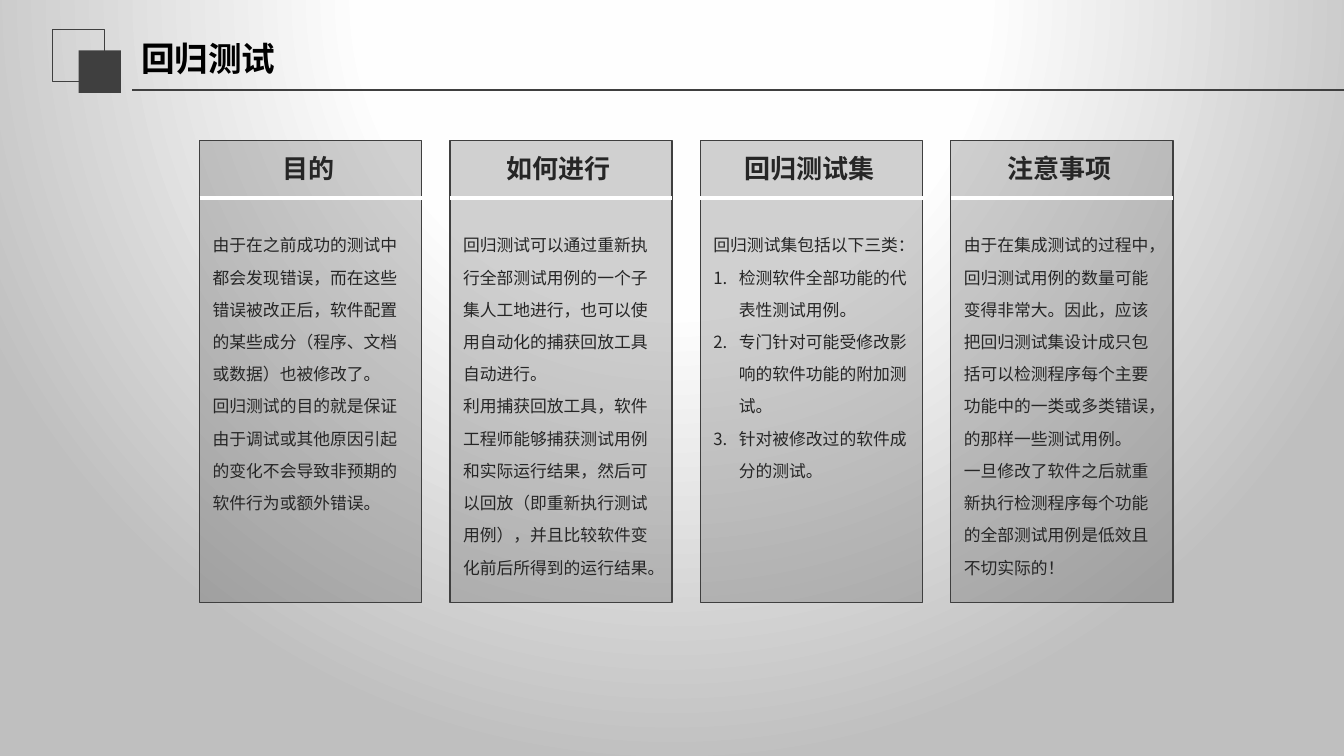
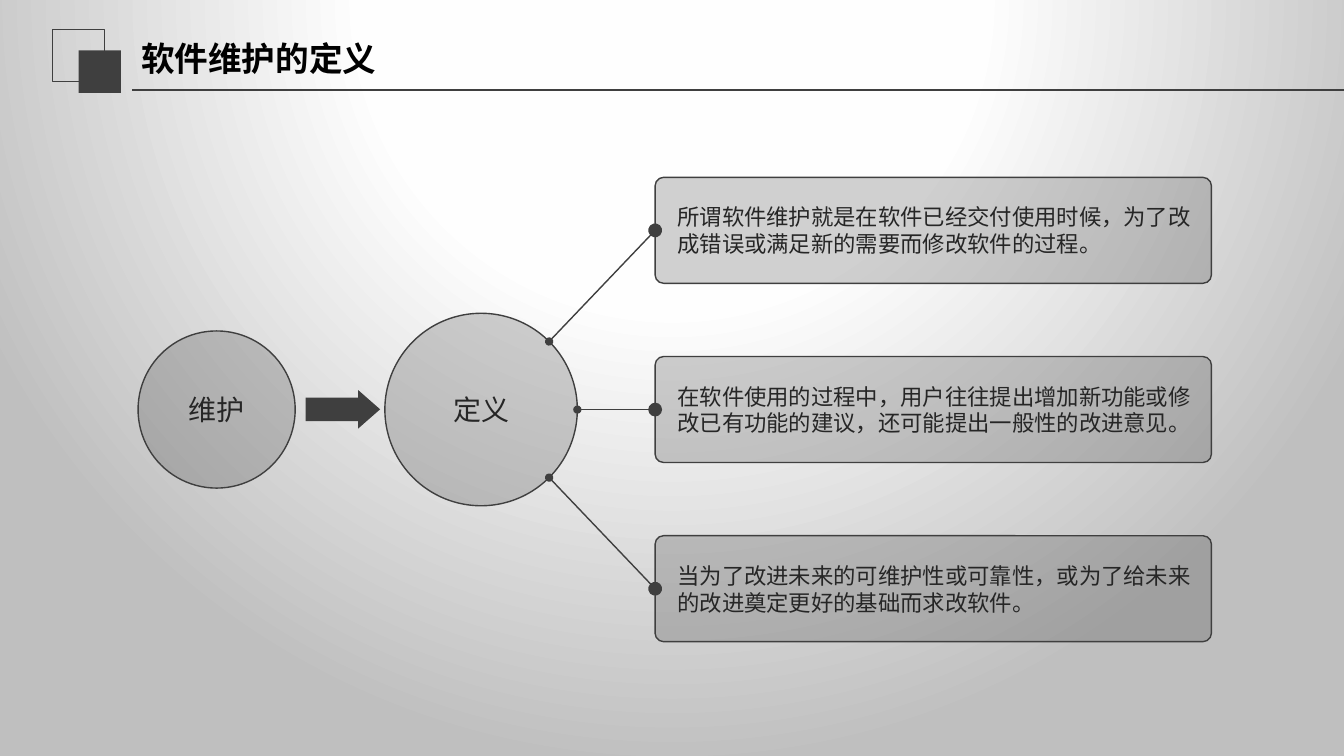
import dataclasses
import math

import lxml.etree
import pptx
import pptx.dml.color
import pptx.enum.shapes
import pptx.enum.text
import pptx.oxml
import pptx.oxml.ns
import pptx.util

Cm = pptx.util.Cm
Pt = pptx.util.Pt
qn = pptx.oxml.ns.qn
SHAPE = pptx.enum.shapes.MSO_SHAPE
ALIGN = pptx.enum.text.PP_ALIGN
ANCHOR = pptx.enum.text.MSO_ANCHOR
AUTO_SIZE = pptx.enum.text.MSO_AUTO_SIZE


@dataclasses.dataclass(frozen=True)
class Theme:
    font: str = "Noto Sans CJK SC"
    dark: str = "3F3F3F"
    text: str = "262626"
    title: str = "000000"
    white: str = "FFFFFF"
    background: tuple = ((0, "FFFFFF"), (40, "FEFEFE"), (100, "BFBFBF"))
    panel_opacity: int = 24
    title_size: float = 24
    circle_size: float = 20
    heading_size: float = 18.6
    statement_size: float = 16
    body_size: float = 12


@dataclasses.dataclass(frozen=True)
class Box:
    """A region in centimetres."""
    left: float
    top: float
    width: float
    height: float

    def lengths(self):
        return [Cm(value) for value in dataclasses.astuple(self)]


THEME = Theme()
SLIDE_WIDTH, SLIDE_HEIGHT = 33.87, 19.05

COLUMNS = [
    ("目的", False, [
        "由于在之前成功的测试中都会发现错误，而在这些错误被改正后，软件配置的某些成分（程序、文档或数据）也被修改了。",
        "回归测试的目的就是保证由于调试或其他原因引起的变化不会导致非预期的软件行为或额外错误。"]),
    ("如何进行", False, [
        "回归测试可以通过重新执行全部测试用例的一个子集人工地进行，也可以使用自动化的捕获回放工具自动进行。",
        "利用捕获回放工具，软件工程师能够捕获测试用例和实际运行结果，然后可以回放（即重新执行测试用例），并且比较软件变化前后所得到的运行结果。"]),
    ("回归测试集", True, [
        "回归测试集包括以下三类：",
        "检测软件全部功能的代表性测试用例。",
        "专门针对可能受修改影响的软件功能的附加测试。",
        "针对被修改过的软件成分的测试。"]),
    ("注意事项", False, [
        "由于在集成测试的过程中，回归测试用例的数量可能变得非常大。因此，应该把回归测试集设计成只包括可以检测程序每个主要功能中的一类或多类错误，的那样一些测试用例。",
        "一旦修改了软件之后就重新执行检测程序每个功能的全部测试用例是低效且不切实际的！"]),
]
STATEMENTS = [
    "所谓软件维护就是在软件已经交付使用时候，为了改成错误或满足新的需要而修改软件的过程。",
    "在软件使用的过程中，用户往往提出增加新功能或修改已有功能的建议，还可能提出一般性的改进意见。",
    "当为了改进未来的可维护性或可靠性，或为了给未来的改进奠定更好的基础而求改软件。",
]


# Shared drawing helpers
def rgb(value):
    return pptx.dml.color.RGBColor.from_string(value)


def format_text(text_frame, size, color=THEME.text, bold=False, align=ALIGN.LEFT):
    for paragraph in text_frame.paragraphs:
        paragraph.alignment = align
        for run in paragraph.runs:
            run.font.name = THEME.font
            run.font.size = Pt(size)
            run.font.bold = bold
            run.font.color.rgb = rgb(color)
            properties = run._r.get_or_add_rPr()
            properties.set("lang", "zh-CN")
            east_asian = lxml.etree.SubElement(properties, qn("a:ea"))
            east_asian.set("typeface", THEME.font)


def set_insets(text_frame, left, top, right, bottom):
    text_frame.margin_left, text_frame.margin_top = Cm(left), Cm(top)
    text_frame.margin_right, text_frame.margin_bottom = Cm(right), Cm(bottom)


def add_shape(slide, kind, box, fill=None, opacity=100, line_width=None):
    shape = slide.shapes.add_shape(kind, *box.lengths())
    shape.shadow.inherit = False
    if fill:
        shape.fill.solid()
        shape.fill.fore_color.rgb = rgb(fill)
        if opacity < 100:
            color = shape.element.spPr.find(qn("a:solidFill"))[0]
            lxml.etree.SubElement(color, qn("a:alpha")).set("val", str(opacity * 1000))
    else:
        shape.fill.background()
    if line_width:
        shape.line.color.rgb = rgb(THEME.dark)
        shape.line.width = Pt(line_width)
    else:
        shape.line.fill.background()
    return shape


def add_panel(slide, kind, box):
    return add_shape(slide, kind, box, THEME.dark, THEME.panel_opacity, 1)


def add_line(slide, start, end, color, width):
    line = slide.shapes.add_connector(
        pptx.enum.shapes.MSO_CONNECTOR.STRAIGHT, *(Cm(value) for value in (*start, *end)))
    line.line.color.rgb = rgb(color)
    line.line.width = Pt(width)
    lxml.etree.SubElement(line.element.spPr, qn("a:effectLst"))
    return line


def add_text(slide, box, text, insets):
    text_frame = slide.shapes.add_textbox(*box.lengths()).text_frame
    text_frame.word_wrap = True
    text_frame.auto_size = AUTO_SIZE.SHAPE_TO_FIT_TEXT
    set_insets(text_frame, *insets)
    text_frame.text = text
    return text_frame


# Shared background, header band and title position
def set_background(master):
    master.background.fill.background()
    empty_fill = master.element.find(".//" + qn("p:bgPr") + "/" + qn("a:noFill"))
    stops = "".join(
        f'<a:gs pos="{position * 1000}"><a:srgbClr val="{color}"/></a:gs>'
        for position, color in THEME.background)
    gradient = pptx.oxml.parse_xml(
        f'<a:gradFill {pptx.oxml.ns.nsdecls("a")} rotWithShape="1"><a:gsLst>{stops}</a:gsLst>'
        '<a:path path="circle"><a:fillToRect l="50000" t="-80000" r="50000" b="180000"/>'
        '</a:path></a:gradFill>')
    empty_fill.getparent().replace(empty_fill, gradient)


def prepare_layout(layout, title_box):
    for placeholder in list(layout.placeholders):
        if placeholder.placeholder_format.idx == 0:
            (placeholder.left, placeholder.top,
             placeholder.width, placeholder.height) = title_box.lengths()
        else:
            placeholder.element.getparent().remove(placeholder.element)


def move_header_to_layout(slide, layout):
    header = [
        add_shape(slide, SHAPE.RECTANGLE, Box(1.32, 0.74, 1.32, 1.32), line_width=0.75),
        add_shape(slide, SHAPE.RECTANGLE, Box(1.98, 1.27, 1.07, 1.07), THEME.dark),
        add_line(slide, (3.33, 2.26), (SLIDE_WIDTH, 2.26), THEME.dark, 1.25),
    ]
    for part in header:
        layout.shapes.element.append(part.element)


def add_titled_slide(presentation, layout, title):
    slide = presentation.slides.add_slide(layout)
    text_frame = slide.shapes.title.text_frame
    text_frame.text = title
    text_frame.vertical_anchor = ANCHOR.MIDDLE
    text_frame.auto_size = AUTO_SIZE.NONE
    format_text(text_frame, THEME.title_size, THEME.title, bold=True)
    return slide


# Regression testing: four columns
def number_paragraph(paragraph, indent=0.64):
    properties = paragraph._p.get_or_add_pPr()
    properties.set("marL", str(Cm(indent)))
    properties.set("indent", str(-Cm(indent)))
    lxml.etree.SubElement(properties, qn("a:buAutoNum")).set("type", "arabicPeriod")


def add_column(slide, box, heading, numbered, paragraphs):
    add_panel(slide, SHAPE.RECTANGLE, box)
    rule_top = box.top + 1.45
    add_line(slide, (box.left, rule_top), (box.left + box.width, rule_top), THEME.white, 3)

    heading_box = Box(box.left + 0.11, box.top + 0.3, box.width, 0.79)
    heading_frame = add_text(slide, heading_box, heading, (0, 0, 0.33, 0))
    format_text(heading_frame, THEME.heading_size, bold=True, align=ALIGN.CENTER)

    body_box = Box(box.left, box.top + 2.08, box.width, 9.02)
    body_frame = add_text(slide, body_box, "\n".join(paragraphs), (0.33, 0, 0.33, 0))
    for index, paragraph in enumerate(body_frame.paragraphs):
        if numbered and index > 0:
            number_paragraph(paragraph)
        paragraph.line_spacing = 1.6
    format_text(body_frame, THEME.body_size)


def fill_columns_slide(slide, box):
    column_width = 5.6
    pitch = (box.width - column_width) / (len(COLUMNS) - 1)
    for index, column in enumerate(COLUMNS):
        column_box = Box(box.left + index * pitch, box.top, column_width, box.height)
        add_column(slide, column_box, *column)


# Definition of maintenance: circles leading to statements
def add_circle(slide, left, center_y, diameter, label):
    box = Box(left, center_y - diameter / 2, diameter, diameter)
    text_frame = add_panel(slide, SHAPE.OVAL, box).text_frame
    text_frame.text = label
    text_frame.vertical_anchor = ANCHOR.MIDDLE
    format_text(text_frame, THEME.circle_size, align=ALIGN.CENTER)


def add_statement(slide, box, text):
    panel = add_panel(slide, SHAPE.ROUNDED_RECTANGLE, box)
    panel.adjustments[0] = 0.08
    text_frame = panel.text_frame
    text_frame.word_wrap = True
    text_frame.vertical_anchor = ANCHOR.MIDDLE
    set_insets(text_frame, 0.5, 0.13, 0.35, 0.13)
    text_frame.text = text
    format_text(text_frame, THEME.statement_size)
    return panel


def add_dotted_link(slide, start, panel):
    link = add_line(slide, start, start, THEME.dark, 1)
    link.end_connect(panel, 1)
    outline = link.line._get_or_add_ln()
    for tag, size in (("a:headEnd", "med"), ("a:tailEnd", "lg")):
        dot = lxml.etree.SubElement(outline, qn(tag))
        dot.set("type", "oval")
        dot.set("w", size)
        dot.set("len", size)


def fill_definition_slide(slide, box):
    center_y = box.top + box.height / 2
    circle_left, diameter = box.left + 6.22, 4.85
    add_circle(slide, box.left, center_y, 3.96, "维护")
    arrow_box = Box(box.left + 4.22, center_y - 0.49, 1.88, 0.97)
    arrow = add_shape(slide, SHAPE.RIGHT_ARROW, arrow_box, THEME.dark)
    arrow.adjustments[0], arrow.adjustments[1] = 0.61, 0.57
    add_circle(slide, circle_left, center_y, diameter, "定义")

    # Statements fan out from the right side of the larger circle
    width, height = 14.02, 2.67
    pitch = (box.height - height) / (len(STATEMENTS) - 1)
    radius = diameter / 2
    for index, text in enumerate(STATEMENTS):
        statement_box = Box(box.left + box.width - width, box.top + index * pitch, width, height)
        panel = add_statement(slide, statement_box, text)
        angle = math.radians(45 * (index - 1))
        start = (circle_left + radius * (1 + math.cos(angle)),
                 center_y + radius * math.sin(angle))
        add_dotted_link(slide, start, panel)


def main():
    presentation = pptx.Presentation()
    presentation.slide_width, presentation.slide_height = Cm(SLIDE_WIDTH), Cm(SLIDE_HEIGHT)
    layout = presentation.slide_layouts[5]
    set_background(presentation.slide_master)
    prepare_layout(layout, Box(3.3, 0.74, 12.04, 1.47))

    columns_slide = add_titled_slide(presentation, layout, "回归测试")
    move_header_to_layout(columns_slide, layout)
    fill_columns_slide(columns_slide, Box(5.03, 3.54, 24.53, 11.64))

    definition_slide = add_titled_slide(presentation, layout, "软件维护的定义")
    fill_definition_slide(definition_slide, Box(3.48, 4.47, 27.05, 11.7))

    presentation.save("out.pptx")


if __name__ == "__main__":
    main()
